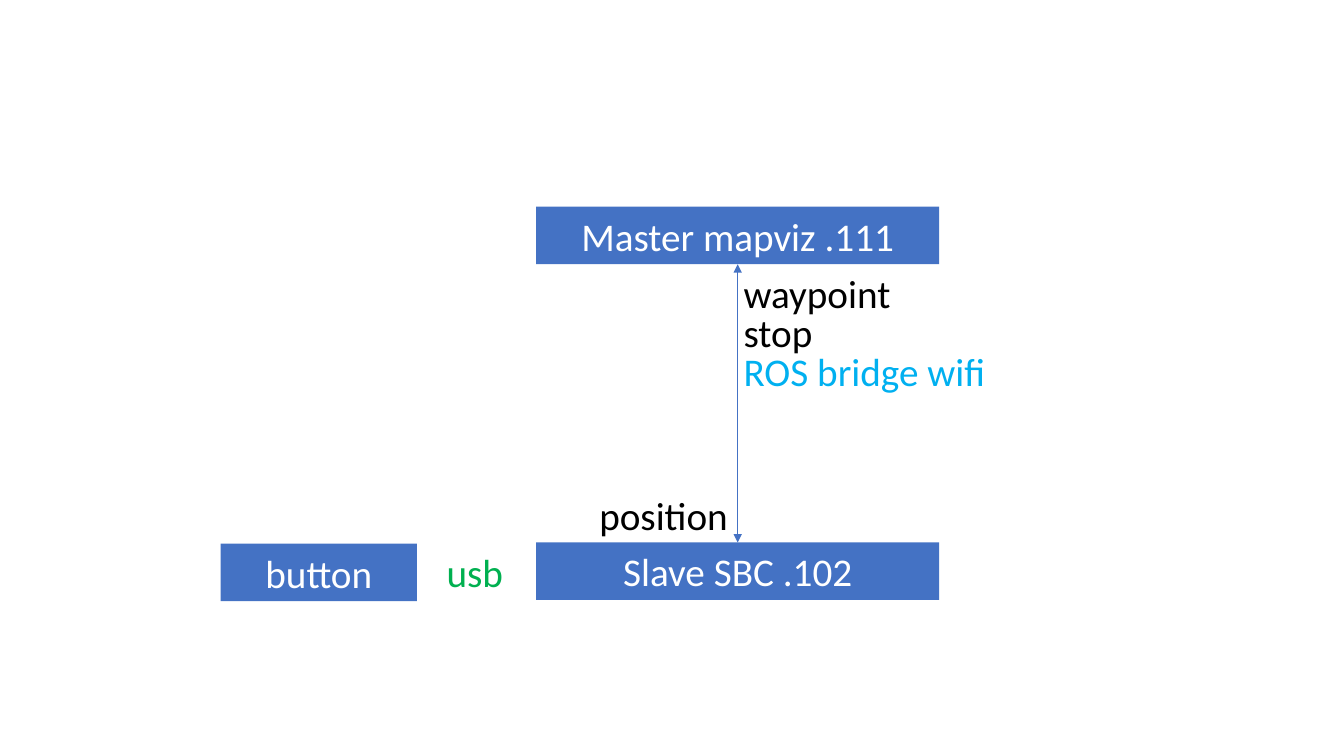
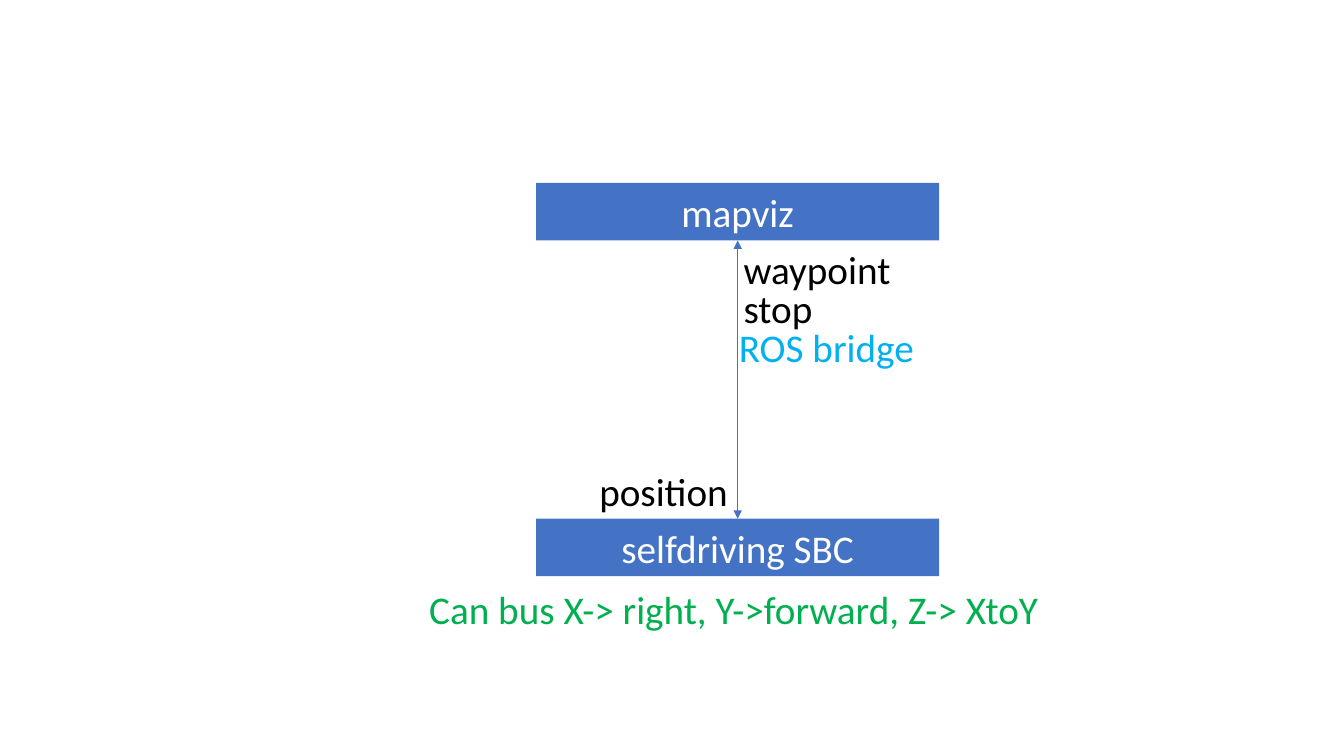
from lxml.etree import SubElement
from pptx import Presentation
from pptx.dml.color import RGBColor
from pptx.enum.shapes import MSO_CONNECTOR as Connector, MSO_SHAPE as Preset
from pptx.enum.text import MSO_ANCHOR as Anchor, MSO_AUTO_SIZE as AutoSize, PP_ALIGN as Align
from pptx.oxml.ns import qn
from pptx.util import Cm, Pt

COLORS = {"box": "4472C4", "white": "FFFFFF", "black": "000000",
          "cable": "00B050", "bridge": "00B0F0"}
FONT = {"name": "Calibri", "size": Pt(28)}
BOX_LEFT, BOX_WIDTH, ROW = 13.51, 10.16, 1.45
AXIS = BOX_LEFT + BOX_WIDTH / 2
BOX_PITCH = 8.46
LABEL_LEFT, LABEL_WIDTH = 18.49, 5.69
LABEL_PITCH = 0.98


class Diagram:
    """Draws boxes, labels and arrows in one style on the current slide."""

    def __init__(self):
        self.presentation = Presentation()
        self.presentation.slide_width = Cm(33.87)
        self.presentation.slide_height = Cm(19.05)
        self.slide = None

    def add_slide(self):
        self.slide = self.presentation.slides.add_slide(self.presentation.slide_layouts[6])

    def set_text(self, shape, text, color, align, **frame_format):
        frame = shape.text_frame
        for name, value in {"word_wrap": True, **frame_format}.items():
            setattr(frame, name, value)
        paragraph = frame.paragraphs[0]
        paragraph.alignment = align
        run = paragraph.add_run()
        run.text = text
        for name, value in FONT.items():
            setattr(run.font, name, value)
        run.font.color.rgb = RGBColor.from_string(COLORS[color])

    def box(self, text, left, top, width):
        shape = self.slide.shapes.add_shape(
            Preset.RECTANGLE, Cm(left), Cm(top), Cm(width), Cm(ROW))
        shape.shadow.inherit = False
        shape.fill.solid()
        shape.fill.fore_color.rgb = RGBColor.from_string(COLORS["box"])
        shape.line.fill.background()
        self.set_text(shape, text, "white", Align.CENTER, vertical_anchor=Anchor.MIDDLE)

    def label(self, text, left, top, width=LABEL_WIDTH, color="black", align=Align.LEFT):
        shape = self.slide.shapes.add_textbox(Cm(left), Cm(top), Cm(width), Cm(ROW))
        self.set_text(shape, text, color, align, auto_size=AutoSize.SHAPE_TO_FIT_TEXT)

    def double_arrow(self, x, top, bottom):
        arrow = self.slide.shapes.add_connector(
            Connector.STRAIGHT, Cm(x), Cm(top), Cm(x), Cm(bottom))
        arrow.line.width = Pt(0.5)
        arrow.line.color.rgb = RGBColor.from_string(COLORS["box"])
        properties = arrow.element.spPr
        outline = properties.find(qn("a:ln"))
        for end in ("a:headEnd", "a:tailEnd"):
            SubElement(outline, qn(end), type="triangle")
        SubElement(properties, qn("a:effectLst"))

    def link(self, top, upper, lower, bridge):
        self.add_slide()
        bottom = top + BOX_PITCH
        self.box(lower, BOX_LEFT, bottom, BOX_WIDTH)
        self.box(upper, BOX_LEFT, top, BOX_WIDTH)
        self.double_arrow(AXIS, top + ROW, bottom)
        self.label("position", AXIS - LABEL_WIDTH, bottom - 1.42, align=Align.RIGHT)
        for row, text in enumerate(("waypoint", "stop")):
            self.label(text, LABEL_LEFT, top + ROW + row * LABEL_PITCH)
        self.label(top=top + ROW + 2 * LABEL_PITCH, color="bridge", **bridge)


def main():
    diagram = Diagram()

    diagram.link(5.21, "Master mapviz .111", "Slave SBC .102",
                 {"text": "ROS bridge wifi", "left": LABEL_LEFT, "width": 10.64})
    diagram.box("button", 5.56, 13.7, 4.95)
    diagram.label("usb", 9.12, 13.7, color="cable", align=Align.CENTER)

    diagram.link(4.61, "mapviz", "selfdriving SBC",
                 {"text": "ROS bridge", "left": 17.98, "align": Align.CENTER})
    diagram.label("Can bus X-> right, Y->forward, Z-> XtoY", 8.1, 14.63, 20.78,
                  color="cable", align=Align.CENTER)

    diagram.presentation.save("out.pptx")


if __name__ == "__main__":
    main()
